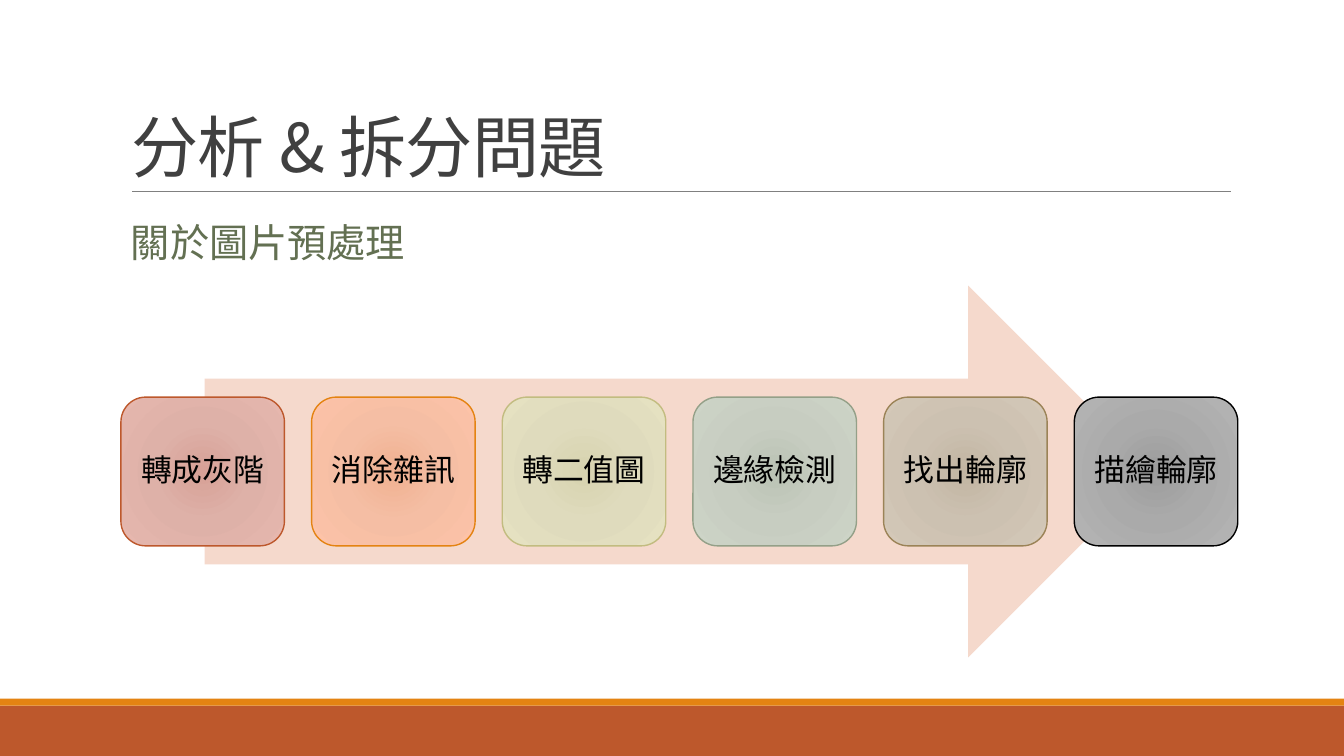
from lxml import etree
from pptx import Presentation
from pptx.dml.color import RGBColor
from pptx.enum import shapes as kinds, text as tx
from pptx.oxml import ns
from pptx.util import Pt

FONT = "Noto Sans CJK SC"
WHITE = RGBColor(0xFF, 0xFF, 0xFF)
BLACK = RGBColor(0, 0, 0)
DARK = RGBColor(0x40, 0x40, 0x40)
GRAY = RGBColor(0x80, 0x80, 0x80)
GREEN = RGBColor(0x63, 0x70, 0x52)
RUST = RGBColor(0xBD, 0x58, 0x2C)
AMBER = RGBColor(0xE4, 0x83, 0x12)
PEACH = RGBColor(0xF5, 0xD9, 0xCC)

STEPS = [
    ("轉成灰階", RUST, ("D7A197", "DEB1A8", "E6B7AE")),
    ("消除雜訊", AMBER, ("F0B191", "F5BEA4", "FDC3A8")),
    ("轉二值圖", RGBColor(0xC2, 0xBC, 0x80), ("D7D3AF", "DFDBBD", "E5E1C1")),
    ("邊緣檢測", RGBColor(0x94, 0xA0, 0x88), ("BBC3B5", "C7CDC1", "CDD4C7")),
    ("找出輪廓", RGBColor(0x9B, 0x83, 0x57), ("C2B5A2", "CCC1B1", "D4C8B8")),
    ("描繪輪廓", BLACK, ("9C9C9C", "AAAAAA", "B4B4B4")),
]


def write(shape, words, size, color, align=tx.PP_ALIGN.LEFT,
          anchor=tx.MSO_ANCHOR.MIDDLE, lead=0.9, before=0, after=0, track=0):
    """Put one formatted paragraph in a shape."""
    frame = shape.text_frame
    frame.word_wrap = True
    frame.auto_size = tx.MSO_AUTO_SIZE.NONE
    frame.vertical_anchor = anchor
    par = frame.paragraphs[0]
    par.alignment, par.line_spacing = align, lead
    par.space_before, par.space_after = Pt(before), Pt(after)
    run = par.add_run()
    run.text = words
    run.font.name, run.font.size = FONT, Pt(size)
    run.font.color.rgb = color
    props = run.font._element
    etree.SubElement(props, ns.qn("a:ea")).set("typeface", FONT)
    if track:
        props.set("spc", str(int(track * 100)))


def draw(slide, kind, box, fill=None, edge=None):
    """Add a flat shape with an optional fill and edge."""
    shape = slide.shapes.add_shape(kind, *map(Pt, box))
    shape.shadow.inherit = False
    if fill is not None:
        shape.fill.solid()
        shape.fill.fore_color.rgb = fill
    if edge is None:
        shape.line.fill.background()
    else:
        shape.line.color.rgb, shape.line.width = edge, Pt(1)
    return shape


def glow(shape, tones):
    """Fill a shape with a radial gradient from its centre."""
    props = shape._element.spPr
    grad = etree.Element(ns.qn("a:gradFill"), rotWithShape="1")
    stops = etree.SubElement(grad, ns.qn("a:gsLst"))
    for pos, tone in zip((0, 45, 100), tones):
        stop = etree.SubElement(stops, ns.qn("a:gs"), pos=str(pos * 1000))
        etree.SubElement(stop, ns.qn("a:srgbClr"), val=tone)
    ring = etree.SubElement(grad, ns.qn("a:path"))
    ring.set("path", "circle")
    etree.SubElement(ring, ns.qn("a:fillToRect"),
                     {side: "50000" for side in "ltrb"})
    props.find(ns.qn("a:prstGeom")).addnext(grad)


def footer(slide, left, top, width, height):
    """Draw the thin and the thick band at the foot."""
    thin = 5
    rect = kinds.MSO_SHAPE.RECTANGLE
    draw(slide, rect, (left, top + thin, width, height - thin), RUST)
    draw(slide, rect, (left, top, width, thin), AMBER)


def header(slide, left, top, width, height):
    """Place the title, its rule and the subtitle."""
    title = slide.shapes.title
    title.left, title.top = Pt(left), Pt(top)
    title.width, title.height = Pt(width), Pt(height)
    write(title, "分析 & 拆分問題", 48, DARK, anchor=tx.MSO_ANCHOR.BOTTOM,
          lead=0.85, track=-0.5)
    base = top + height
    rule = slide.shapes.add_connector(
        kinds.MSO_CONNECTOR.STRAIGHT, Pt(left + 8), Pt(base),
        Pt(left + width + 0.7), Pt(base))
    rule.line.color.rgb, rule.line.width = GRAY, Pt(0.5)
    etree.SubElement(rule._element.spPr, ns.qn("a:effectLst"))
    sub = slide.shapes.add_textbox(Pt(left), Pt(base + 8.6), Pt(389), Pt(58.3))
    write(sub, "關於圖片預處理", 28, GREEN, before=12, after=2)


def process(slide, left, top, width, height):
    """Lay the steps in a row across a wide arrow."""
    inset = width * 0.075
    draw(slide, kinds.MSO_SHAPE.RIGHT_ARROW,
         (left + inset, top, width - 2 * inset, height), PEACH)
    wide, tall = 116.8, height * 0.4
    pitch = (width - wide) / (len(STEPS) - 1)
    for i, (words, edge, tones) in enumerate(STEPS):
        card = draw(slide, kinds.MSO_SHAPE.ROUNDED_RECTANGLE,
                    (left + i * pitch, top + (height - tall) / 2, wide, tall),
                    edge=edge)
        glow(card, tones)
        write(card, words, 22, BLACK, align=tx.PP_ALIGN.CENTER)


def main():
    """Build and save the slide."""
    deck = Presentation()
    deck.slide_width, deck.slide_height = Pt(960), Pt(540)
    slide = deck.slides.add_slide(deck.slide_layouts[5])
    slide.background.fill.solid()
    slide.background.fill.fore_color.rgb = WHITE
    footer(slide, 0, 499, 960, 41)
    header(slide, 86.4, 22.6, 792, 114.2)
    process(slide, 86.4, 204, 797.8, 265.6)
    deck.save("out.pptx")


if __name__ == "__main__":
    main()
